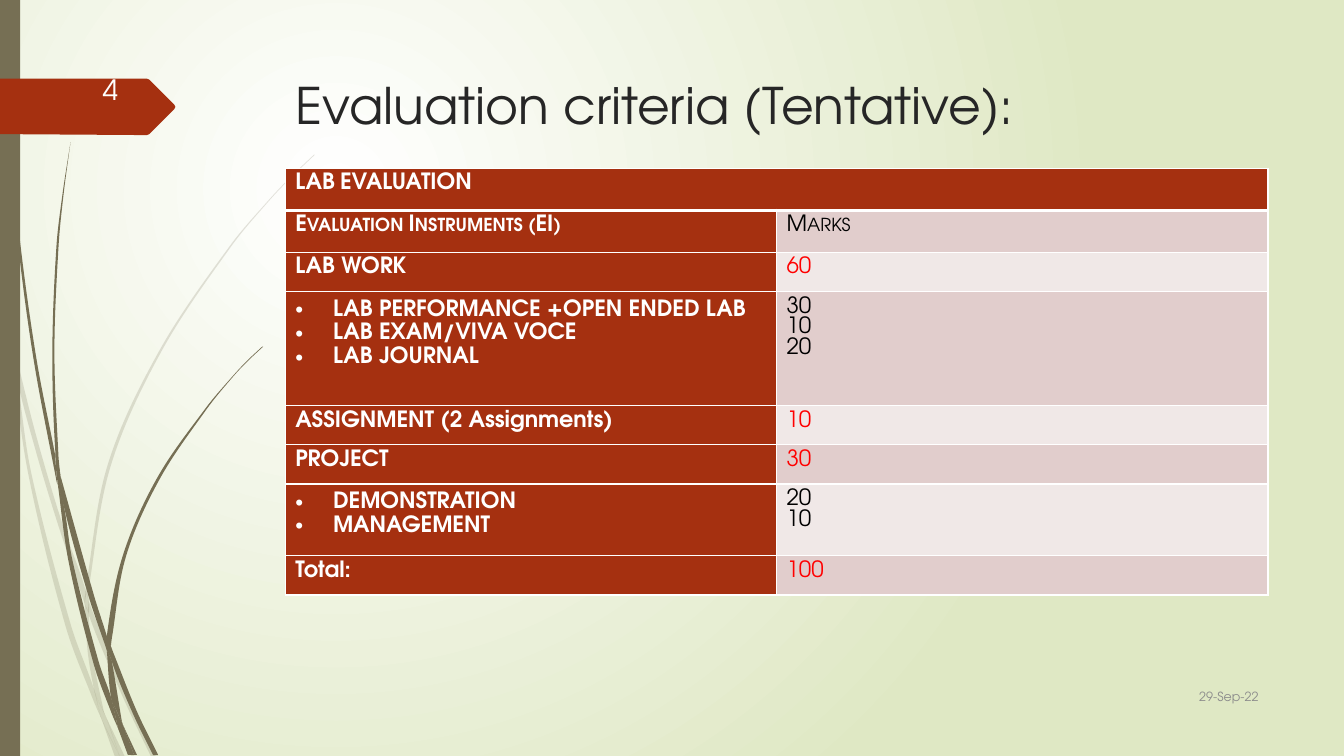
from dataclasses import dataclass
from math import dist

from lxml import etree
from pptx import Presentation
from pptx.dml.color import RGBColor as RGB
from pptx.enum.shapes import MSO_SHAPE as SHAPE
from pptx.enum.text import MSO_ANCHOR as ANCHOR, PP_ALIGN as ALIGN
from pptx.oxml.ns import qn
from pptx.util import Pt


@dataclass(frozen=True)
class Theme:
    font: str = "TeX Gyre Adventor"
    white: str = "FFFFFF"
    meadow: str = "DFE8C4"
    olive: str = "766F54"
    rust: str = "A53010"
    title: str = "262626"
    date: str = "8C8C8C"
    number: str = "FEFFFF"
    black: str = "000000"
    red: str = "FF0000"
    bands: tuple = ("F0E8E7", "E1CDCC")
    title_size: int = 36
    number_size: int = 20
    cell_size: int = 16
    date_size: int = 9


T = Theme()

FAINT_BLADES = [
    [(7.9, 252), (6.5, 231.8), (0, 203), (0, 215.3), (7.2, 247.7)],
    [(41.8, 375.8), (60.5, 431.3), (61.2, 421.9), (44.6, 374.4), (26, 311.8),
     (10.1, 248.4), (12.2, 270.7), (25.9, 323.3)],
    [(66.2, 437), (63.4, 429.1), (63.4, 439.2), (88.6, 499.7), (108, 540.7),
     (111.6, 540.7), (91.4, 498.2)],
    [(85.7, 540.7), (89.3, 540.7), (75.6, 511.9)],
    [(67, 491.8), (50.4, 445.7), (22.3, 337.7), (12.2, 270.7), (7.9, 252), (20.2, 338.4),
     (46.8, 447.1), (66.2, 499), (72.7, 514.1), (71.3, 509)],
    [(60.5, 431.3), (62.6, 465.1), (67, 491.8), (69.1, 498.2), (75.6, 511.9),
     (74.2, 508.3), (65.5, 465.1), (63.4, 439.2), (63.4, 437.8)],
    [(63.4, 420.5), (79.2, 332.6), (115.2, 251.3), (164.9, 176.4), (193, 142.6),
     (208.8, 126), (224.6, 110.9), (224.6, 110.2), (208.1, 126), (193, 141.8),
     (164.2, 175.7), (113.8, 250.6), (77, 331.9), (61.2, 420.5), (61.2, 421.9), (63.4, 429.1)],
    [(72.7, 514.1), (82.1, 540.7), (85.7, 540.7)],
    [(63.4, 437.8), (63.4, 439.2), (63.4, 429.1), (61.2, 421.9), (60.5, 431.3)],
    [(69.1, 498.2), (67, 491.8), (71.3, 509), (72.7, 514.1), (85.7, 540.7), (75.6, 511.9)],
]
DARK_BLADES = [
    [(5, 79.2), (12.2, 167.8), (23.8, 255.6), (40.3, 343.4), (41, 346.3), (39.6, 329),
     (39.6, 326.2), (25.9, 255.6), (13.7, 167), (5.8, 78.5), (3.6, 34.6), (2.9, 0),
     (2.2, 0), (2.9, 34.6)],
    [(63.4, 426.2), (76.3, 464.4), (76.3, 455.8), (76.3, 454.3), (67, 424.8),
     (43.2, 339.8), (46.1, 363.6)],
    [(81.4, 467.3), (79.2, 461.5), (79.9, 472.3), (95, 509.8), (109.4, 539.3),
     (113, 539.3), (97.9, 508.3)],
    [(79.2, 497.5), (70.6, 473), (51.8, 400.3), (46.1, 363.6), (41, 343.4), (49, 401),
     (67, 474.5), (79.9, 509.8), (84.2, 519.8), (83.5, 516.2)],
    [(43.2, 339.8), (41.8, 326.2), (38.9, 251.3), (41.8, 176.4), (45.4, 139),
     (50.4, 101.5), (44.6, 139), (40.3, 176.4), (37.4, 251.3), (39.6, 323.3)],
    [(95.8, 539.3), (97.9, 539.3), (87.8, 517.7)],
    [(41, 343.4), (46.1, 363.6), (43.2, 339.8), (39.6, 323.3), (39.6, 326.2)],
    [(79.9, 455.8), (90, 397.4), (113.8, 342.7), (147.6, 292.3), (166.3, 269.3),
     (176.4, 258.5), (187.9, 247.7), (187.2, 247.7), (176.4, 257.8), (166.3, 268.6),
     (146.9, 291.6), (112.3, 341.3), (87.8, 396.7), (76.3, 454.3), (79.2, 461.5)],
    [(84.2, 519.8), (91.4, 539.3), (94.3, 539.3)],
    [(76.3, 464.4), (79.2, 497.5), (83.5, 508.3), (87.8, 517.7), (87.1, 515.5),
     (79.9, 472.3), (78.5, 468.7)],
    [(76.3, 464.4), (78.5, 468.7), (79.9, 472.3), (79.2, 461.5), (76.3, 454.3), (76.3, 455.8)],
    [(83.5, 508.3), (79.2, 497.5), (83.5, 516.2), (84.2, 519.8), (93.6, 539.3),
     (95.8, 539.3), (87.8, 517.7)],
]
TAG = [(124.6, 77.8), (106.6, 95.8), (105, 96.5), (0, 95.8), (0, 56.2), (105, 56.2),
       (106.6, 56.9), (124.6, 74.9), (125.3, 76.3)]
ROWS = [
    (30, ["LAB EVALUATION"], [], True),
    (30, ["Evaluation Instruments (EI)"], ["Marks"], True),
    (28, ["LAB WORK"], ["60"], False),
    (81.5, ["LAB PERFORMANCE +OPEN ENDED LAB", "LAB EXAM/VIVA VOCE", "LAB JOURNAL"],
     ["30", "10", "20"], False),
    (28, ["ASSIGNMENT (2 Assignments)"], ["10"], False),
    (28, ["PROJECT"], ["30"], False),
    (50, ["DEMONSTRATION", "MANAGEMENT"], ["20", "10"], False),
    (28, ["Total:"], ["100"], False),
]


def assign(obj, **values):
    for name, value in values.items():
        setattr(obj, name, value)


def add_run(p, text, size, color, bold=False, small_caps=False):
    r = p.add_run()
    r.text = text
    assign(r.font, name=T.font, size=Pt(size), bold=bold)
    r.font.color.rgb = RGB.from_string(color)
    if small_caps:
        r.font._element.set("cap", "small")


def add_text(s, box, text, size, color, align=ALIGN.LEFT, anchor=ANCHOR.MIDDLE):
    tf = s.shapes.add_textbox(*map(Pt, box)).text_frame
    assign(tf, word_wrap=True, vertical_anchor=anchor)
    p = tf.paragraphs[0]
    p.alignment = align
    add_run(p, text, size, color)


def paint(sp, color, opacity=100):
    sp.shadow.inherit = False
    sp.fill.solid()
    sp.fill.fore_color.rgb = RGB.from_string(color)
    sp.line.fill.background()
    if opacity < 100:
        srgb = sp._element.spPr.find(".//" + qn("a:srgbClr"))
        etree.SubElement(srgb, qn("a:alpha"), val=str(opacity * 1000))


def add_outline(s, points, color, opacity=100):
    start, *rest = [(Pt(x), Pt(y)) for x, y in points + points[:1]]
    fb = s.shapes.build_freeform(*start)
    fb.add_line_segments(rest)
    sp = fb.convert_to_shape()
    paint(sp, color, opacity)
    return sp


def handle(before, at, after, reach):
    a, b = dist(before, at), dist(at, after)
    dot = sum((q - p) * (r - q) for p, q, r in zip(before, at, after))
    if dot < 0.8 * a * b:
        return None
    return [(r - p) * reach / dist(before, after) / 3 for p, r in zip(before, after)]


def bend(sp):
    lines = list(sp._element.iter(qn("a:lnTo")))
    ends = [(int(ln[0].get("x")), int(ln[0].get("y"))) for ln in lines]
    n = len(ends)
    for i, ln in enumerate(lines):
        before, a, b, after = (ends[(i + k) % n] for k in (-2, -1, 0, 1))
        reach = dist(a, b)
        chord = [(q - p) / 3 for p, q in zip(a, b)]
        out = handle(before, a, b, reach) or chord
        back = handle(a, b, after, reach) or chord
        curve = etree.Element(qn("a:cubicBezTo"))
        for x, y in ((a[0] + out[0], a[1] + out[1]), (b[0] - back[0], b[1] - back[1]), b):
            etree.SubElement(curve, qn("a:pt"), x=str(round(x)), y=str(round(y)))
        ln.getparent().replace(ln, curve)


def set_background(s):
    fill = s.background.fill
    fill.gradient()
    for stop, color in zip(fill.gradient_stops, (T.white, T.meadow)):
        stop.color.rgb = RGB.from_string(color)
    grad = s.element.find(".//" + qn("a:gradFill"))
    grad.remove(grad.find(qn("a:lin")))
    circle = etree.SubElement(grad, qn("a:path"), path="circle")
    etree.SubElement(circle, qn("a:fillToRect"), l="50000", t="50000", r="100000", b="100000")


def add_bullet(p, last):
    pPr = p._p.get_or_add_pPr()
    assign_xml = {"marL": Pt(27), "indent": Pt(-27)}
    for name, value in assign_xml.items():
        pPr.set(name, str(value))
    etree.SubElement(pPr, qn("a:buFont"), typeface="Arial")
    etree.SubElement(pPr, qn("a:buChar"), char="•")
    p.line_spacing = 1.15
    if last:
        p.space_after = Pt(10)


def style_cell(cell, fill, **borders):
    tcPr = cell._tc.get_or_add_tcPr()
    for side in "LRTB":
        ln = etree.SubElement(tcPr, qn("a:ln" + side), w=str(Pt(borders.get(side, 1))))
        solid = etree.SubElement(ln, qn("a:solidFill"))
        etree.SubElement(solid, qn("a:srgbClr"), val=T.white)
    cell.fill.solid()
    cell.fill.fore_color.rgb = RGB.from_string(fill)


def fill_cell(cell, lines, color, bold, small_caps, bulleted=False):
    tf = cell.text_frame
    for i, line in enumerate(lines):
        p = tf.add_paragraph() if i else tf.paragraphs[0]
        if bulleted:
            add_bullet(p, i == len(lines) - 1)
        add_run(p, line, T.cell_size, color, bold, small_caps)


def add_criteria(s):
    height = sum(row[0] for row in ROWS)
    table = s.shapes.add_table(len(ROWS), 2, Pt(203.7), Pt(120.3), Pt(702), Pt(height)).table
    for i, (height, labels, marks, heading) in enumerate(ROWS):
        table.rows[i].height = Pt(height)
        borders = {0: {"B": 3}, 1: {"T": 3}}.get(i, {})
        label, mark = table.cell(i, 0), table.cell(i, 1)
        style_cell(label, T.rust, **borders)
        style_cell(mark, T.bands[i % 2] if marks else T.rust, **borders)
        detail = len(labels) > 1
        fill_cell(label, labels, T.white, True, heading, detail)
        fill_cell(mark, marks, T.black if heading or detail else T.red, False, heading)
    table.cell(0, 0).merge(table.cell(0, 1))


def main():
    prs = Presentation()
    assign(prs, slide_width=Pt(960), slide_height=Pt(540))
    s = prs.slides.add_slide(prs.slide_layouts[6])
    set_background(s)
    for blades, opacity in ((FAINT_BLADES, 20), (DARK_BLADES, 100)):
        for blade in blades:
            bend(add_outline(s, blade, T.olive, opacity))
    paint(s.shapes.add_shape(SHAPE.RECTANGLE, 0, 0, Pt(14.4), Pt(540)), T.olive)
    add_outline(s, TAG, T.rust)
    add_text(s, (204, 49.5, 702, 101), "Evaluation criteria (Tentative):",
             T.title_size, T.title, anchor=ANCHOR.TOP)
    add_text(s, (816, 482.5, 90, 29.5), "29-Sep-22", T.date_size, T.date, ALIGN.RIGHT)
    add_text(s, (30, 49, 61.5, 29), "4", T.number_size, T.number, ALIGN.RIGHT)
    add_criteria(s)
    prs.save("out.pptx")


if __name__ == "__main__":
    main()
